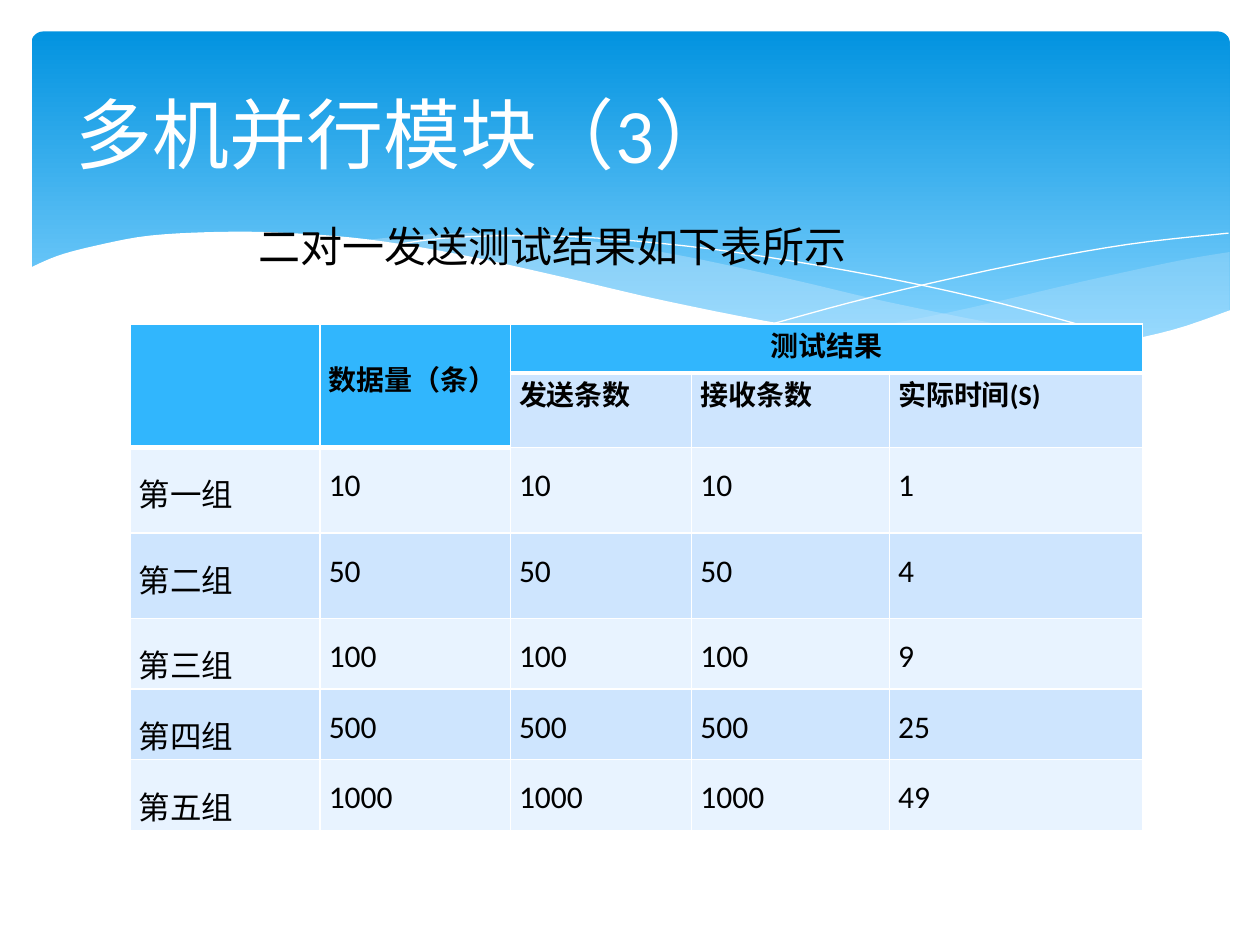
import dataclasses

import pptx
import pptx.dml.color
import pptx.enum.shapes
import pptx.enum.text
import pptx.oxml
import pptx.oxml.ns
import pptx.util
from pptx.util import Inches

ALIGN = pptx.enum.text.PP_ALIGN
ANCHOR = pptx.enum.text.MSO_ANCHOR


@dataclasses.dataclass(frozen=True)
class Theme:
    font: str = "Calibri"
    title_size: int = 44
    lead_size: int = 24
    header_size: int = 16
    body_size: int = 18
    white: str = "FFFFFF"
    black: str = "000000"
    sky_top: str = "0293E0"
    sky_bottom: str = "83D3FE"
    wave: str = "C6E7FC"
    header: str = "31B6FD"
    band_dark: str = "CEE5FE"
    band_light: str = "E8F3FF"


THEME = Theme()

COLUMN_WIDTHS = [1.51, 1.51, 1.44, 1.57, 2.01]
ROW_HEIGHTS = [0.39, 0.58, 0.68, 0.68, 0.56, 0.56, 0.56]
SUBHEADS = ["发送条数", "接收条数", "实际时间(S)"]
RESULTS = [("第一组", 10, 1), ("第二组", 50, 4), ("第三组", 100, 9),
           ("第四组", 500, 25), ("第五组", 1000, 49)]

RIGHT_WAVE_TOP = [(9.76, 2), (9.35, 2.07), (8.61, 2.23), (7.53, 2.48), (6.61, 2.65)]
RIGHT_WAVE_BOTTOM = [(6.61, 2.65), (7.32, 2.74), (8.14, 2.78), (8.81, 2.73),
                     (9.35, 2.62), (9.76, 2.47)]
MIDDLE_WAVE_TOP = [(8.93, 2.73), (8.07, 2.6), (7.06, 2.4), (6.29, 2.22), (5.41, 2.03),
                   (4.65, 1.91), (3.8, 1.85), (3.28, 1.87), (2.86, 1.91)]
MIDDLE_WAVE_BOTTOM = [(2.86, 1.91), (3.62, 2.03), (4.49, 2.22), (5.66, 2.48),
                      (6.5, 2.64), (7.22, 2.74), (8.07, 2.78), (8.57, 2.77), (8.93, 2.73)]
FALLING_LINE = [(3.09, 1.95), (3.53, 1.89), (4.16, 1.87), (4.89, 1.9), (5.82, 2),
                (6.95, 2.19), (7.95, 2.41), (9.07, 2.72)]
RISING_LINE = [(6.13, 2.57), (6.95, 2.35), (8.06, 2.1), (8.95, 1.94), (9.75, 1.85)]
WHITE_WAVE_TOP = [(9.77, 2.46), (9.3, 2.62), (8.75, 2.73), (8.09, 2.77), (7.26, 2.72),
                  (6.26, 2.58), (5.29, 2.39), (4.47, 2.2), (3.65, 2.02), (2.92, 1.9),
                  (2.3, 1.85), (1.77, 1.84), (1.19, 1.87), (0.76, 1.95), (0.46, 2.03),
                  (0.23, 2.13)]
WHITE_WAVE_BASE = [(0.23, 3.29), (9.77, 3.29)]


def rgb(value):
    return pptx.dml.color.RGBColor.from_string(value)


def set_values(target, values):
    for name, value in values.items():
        setattr(target, name, value)


def smooth(points, steps=5):
    """Return a Catmull-Rom curve through the points."""
    padded = [points[0], *points, points[-1]]
    curve = [points[0]]
    for a, b, c, d in zip(padded, padded[1:], padded[2:], padded[3:]):
        for step in range(1, steps + 1):
            t = step / steps
            curve.append(tuple(
                0.5 * (2 * q + (r - p) * t + (2 * p - 5 * q + 4 * r - s) * t ** 2
                       + (3 * q - p - 3 * r + s) * t ** 3)
                for p, q, r, s in zip(a, b, c, d)))
    return curve


def add_outline(slide, points, closed):
    points = [(Inches(x), Inches(y)) for x, y in points]
    builder = slide.shapes.build_freeform(*points[0])
    builder.add_line_segments(points[1:], close=closed)
    shape = builder.convert_to_shape()
    shape.shadow.inherit = False
    return shape


def add_wave(slide, points, color, opacity=100):
    shape = add_outline(slide, points, True)
    shape.fill.solid()
    shape.fill.fore_color.rgb = rgb(color)
    shape.line.fill.background()
    if opacity < 100:
        fill_color = shape._element.spPr.find(".//" + pptx.oxml.ns.qn("a:srgbClr"))
        fill_color.append(pptx.oxml.parse_xml(
            f'<a:alpha {pptx.oxml.ns.nsdecls("a")} val="{opacity * 1000}"/>'))


def add_hairline(slide, points):
    shape = add_outline(slide, smooth(points), False)
    shape.fill.background()
    shape.line.color.rgb = rgb(THEME.white)
    shape.line.width = pptx.util.Pt(0)


def add_sky(slide):
    sky = slide.shapes.add_shape(pptx.enum.shapes.MSO_SHAPE.ROUNDED_RECTANGLE,
                                 Inches(0.25), Inches(0.25), Inches(9.51), Inches(2.7))
    sky.adjustments[0] = 0.034
    sky.shadow.inherit = False
    sky.line.fill.background()
    sky.fill.gradient()
    sky.fill.gradient_angle = 270
    stops = [(0, THEME.sky_top), (0.9, THEME.sky_bottom)]
    for stop, (position, color) in zip(sky.fill.gradient_stops, stops):
        stop.position = position
        stop.color.rgb = rgb(color)


def add_backdrop(slide):
    add_sky(slide)
    add_wave(slide, smooth(RIGHT_WAVE_TOP) + smooth(RIGHT_WAVE_BOTTOM), THEME.wave, 29)
    add_wave(slide, smooth(MIDDLE_WAVE_TOP) + smooth(MIDDLE_WAVE_BOTTOM), THEME.wave, 40)
    add_hairline(slide, FALLING_LINE)
    add_hairline(slide, RISING_LINE)
    add_wave(slide, smooth(WHITE_WAVE_TOP) + WHITE_WAVE_BASE, THEME.white)


def write(text_frame, text, size, color=THEME.black, bold=False, **paragraph_format):
    paragraph = text_frame.paragraphs[0]
    set_values(paragraph, paragraph_format)
    run = paragraph.add_run()
    run.text = text
    set_values(run.font, {"name": THEME.font, "size": pptx.util.Pt(size), "bold": bold})
    run.font.color.rgb = rgb(color)


def place_title(slide):
    title = slide.shapes.title
    set_values(title, {"left": Inches(0.5), "top": Inches(0.37),
                       "width": Inches(9), "height": Inches(1.37)})
    title.text_frame.vertical_anchor = ANCHOR.MIDDLE
    write(title.text_frame, "多机并行模块（3）", THEME.title_size, THEME.white,
          alignment=ALIGN.LEFT)
    slide.shapes._spTree.append(title._element)  # in front of the backdrop


def add_lead(slide):
    box = slide.shapes.add_textbox(Inches(0.95), Inches(1.7), Inches(8.1), Inches(0.67))
    set_values(box.text_frame, {"word_wrap": True, "margin_left": Inches(1.1)})
    write(box.text_frame, "二对一发送测试结果如下表所示", THEME.lead_size)


def format_cell(cell, fill, borders):
    """Fill a cell and draw white borders, given as widths in points by side."""
    set_values(cell, {"margin_left": Inches(0.07), "margin_right": Inches(0.07),
                      "margin_top": 0, "margin_bottom": 0})
    cell.fill.solid()
    cell.fill.fore_color.rgb = rgb(fill)
    properties = cell._tc.get_or_add_tcPr()
    for index, (side, width) in enumerate(borders.items()):
        properties.insert(index, pptx.oxml.parse_xml(
            f'<a:ln{side} {pptx.oxml.ns.nsdecls("a")} w="{pptx.util.Pt(width)}">'
            f'<a:solidFill><a:srgbClr val="{THEME.white}"/></a:solidFill></a:ln{side}>'))


def add_results_table(slide):
    frame = slide.shapes.add_table(
        len(ROW_HEIGHTS), len(COLUMN_WIDTHS), Inches(1.03), Inches(2.57),
        Inches(sum(COLUMN_WIDTHS)), Inches(sum(ROW_HEIGHTS)))
    table = frame.table
    set_values(table, {"first_row": False, "horz_banding": False})
    for column, width in zip(table.columns, COLUMN_WIDTHS):
        column.width = Inches(width)
    for row, height in zip(table.rows, ROW_HEIGHTS):
        row.height = Inches(height)

    for row in range(len(ROW_HEIGHTS)):
        for column in range(len(COLUMN_WIDTHS)):
            is_header = row == 0 or (row == 1 and column < 2)
            band = THEME.band_dark if row % 2 else THEME.band_light
            borders = {"L": 1, "R": 1}
            if row == 0:
                borders["T"] = 1
            borders["B"] = 3 if is_header else 1
            format_cell(table.cell(row, column), THEME.header if is_header else band, borders)

    for column in (0, 1):
        table.cell(0, column).merge(table.cell(1, column))
    table.cell(0, 2).merge(table.cell(0, 4))
    table.cell(0, 1).margin_top = Inches(0.27)

    headings = [(0, 1, "数据量（条）", ALIGN.JUSTIFY), (0, 2, "测试结果", ALIGN.CENTER)]
    headings += [(1, column, text, ALIGN.JUSTIFY) for column, text in enumerate(SUBHEADS, 2)]
    for row, column, text, alignment in headings:
        write(table.cell(row, column).text_frame, text, THEME.header_size, bold=True,
              alignment=alignment)
    for row, (group, count, seconds) in enumerate(RESULTS, 2):
        for column, value in enumerate([group, count, count, count, seconds]):
            write(table.cell(row, column).text_frame, str(value), THEME.body_size,
                  alignment=ALIGN.JUSTIFY, line_spacing=1.5)


def main():
    presentation = pptx.Presentation()
    set_values(presentation, {"slide_width": Inches(10), "slide_height": Inches(7.5)})
    slide = presentation.slides.add_slide(presentation.slide_layouts[5])
    add_backdrop(slide)
    place_title(slide)
    add_results_table(slide)
    add_lead(slide)
    presentation.save("out.pptx")


if __name__ == "__main__":
    main()
